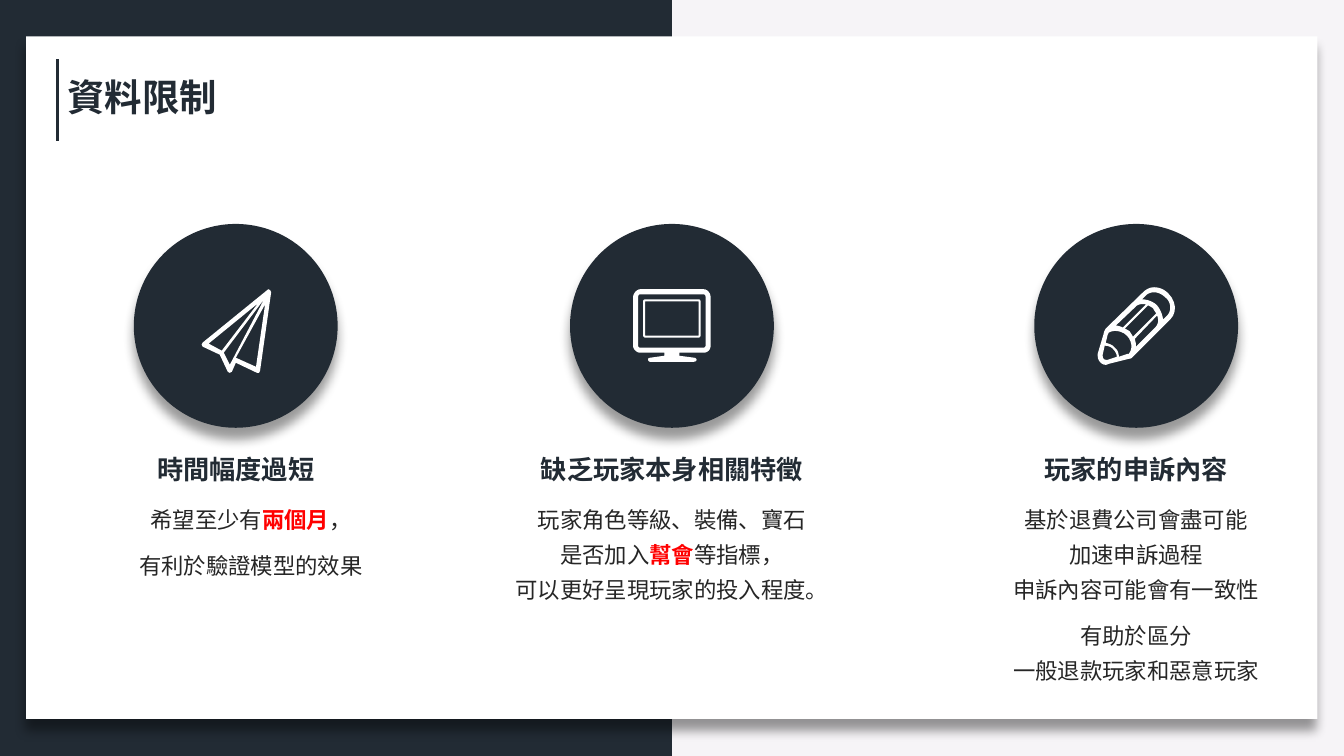
"""Build the data-limitations slide: three icon columns on a white card."""
from copy import deepcopy
from dataclasses import dataclass

from lxml import etree
from pptx import Presentation
from pptx import util as u
from pptx.dml.color import RGBColor
from pptx.enum import shapes, text
from pptx.oxml.ns import qn
from pptx.slide import Slide


@dataclass(frozen=True)
class Theme:
    dark: str = "222B34"
    pale: str = "F6F4F7"
    white: str = "FFFFFF"
    body: str = "262626"
    accent: str = "FF0000"
    title_font: str = "Noto Sans CJK SC"
    heading_font: str = "Arial"
    body_font: str = "Calibri"
    title_size: float = 26.7
    heading_size: float = 18.7
    body_size: float = 16


THEME = Theme()
ICON_UNIT = 0.72
CURVE_STEPS = 6
CIRCLE_TOP, CIRCLE_SIZE = 160, 145.6
HEADING_TOP, HEADING_HEIGHT = 320.4, 30
BODY_TOP, BODY_WIDTH = 352, 242

Contour = list[tuple[int, ...]]


@dataclass(frozen=True)
class Icon:
    """Closed contours: two numbers make a line point, six a Bezier curve."""
    left: float
    top: float
    contours: list[Contour]


@dataclass(frozen=True)
class Span:
    text: str
    strong: bool = False


@dataclass(frozen=True)
class Column:
    center: float
    body_center: float
    heading: str
    heading_width: float
    body_height: float
    paragraphs: list[list[Span]]
    icons: list[Icon]


PLANE = Icon(144, 206.6, [
    [(54, 77), (34, 68), (63, 15)],
    [(22, 63), (62, 10), (28, 75)],
    [(7, 54), (56, 14), (20, 61)],
    [(68, 1), (66, 0), (65, 1), (1, 53), (0, 55), (1, 57), (18, 65), (26, 82), (28, 83),
     (30, 82), (34, 73), (55, 83), (57, 83), (58, 81), (69, 3)],
])
SCREEN = Icon(459.4, 213.8, [
    [(55, 36), (2, 36), (2, 2), (55, 2)],
    [(55, 0), (2, 0), (1, 0, 0, 1, 0, 2), (0, 36), (0, 37, 1, 38, 2, 38), (55, 38),
     (56, 38, 57, 37, 57, 36), (57, 2), (57, 1, 56, 0, 55, 0)],
])
MONITOR = Icon(452.2, 206.6, [
    [(72, 56), (72, 57, 71, 58, 70, 58), (7, 58), (6, 58, 5, 57, 5, 56), (5, 8),
     (5, 6, 6, 5, 7, 5), (70, 5), (71, 5, 72, 6, 72, 8)],
    [(70, 0), (7, 0), (4, 0, 0, 4, 0, 8), (0, 56), (0, 60, 4, 63, 7, 63), (31, 63), (31, 66),
     (17, 68), (15, 68, 15, 69, 15, 70), (15, 71, 16, 72, 17, 72), (60, 72),
     (62, 72, 63, 71, 63, 70), (63, 69, 62, 68, 61, 68), (46, 66), (46, 63), (70, 63),
     (74, 63, 77, 60, 77, 56), (77, 8), (77, 4, 74, 0, 70, 0)],
])
PENCIL = Icon(784.1, 205.2, [
    [(69, 28), (65, 32), (64, 26, 62, 22, 59, 18), (55, 14, 49, 12, 44, 12), (48, 8),
     (50, 6, 53, 5, 56, 5), (60, 5, 64, 7, 67, 10), (70, 12, 72, 16, 72, 20),
     (72, 23, 71, 26, 69, 28)],
    [(21, 69), (21, 66, 20, 62, 17, 60), (15, 57, 11, 56, 8, 55), (10, 47), (11, 45),
     (16, 42, 24, 43, 29, 48), (34, 53, 35, 61, 31, 66), (30, 66)],
    [(10, 72), (8, 72), (6, 72, 5, 70, 5, 68), (5, 67), (7, 58), (10, 58, 13, 59, 15, 61),
     (18, 64, 19, 67, 19, 69)],
    [(25, 40), (23, 39, 20, 38, 18, 38), (37, 20), (39, 17, 44, 16, 48, 17)],
    [(35, 49), (34, 47, 33, 46, 32, 44), (31, 43, 29, 42, 27, 41), (50, 18),
     (52, 19, 54, 20, 55, 21), (56, 23, 57, 24, 58, 26)],
    [(38, 57), (38, 55, 37, 53, 37, 51), (59, 28), (61, 33, 60, 37, 57, 40), (38, 59)],
    [(70, 6), (66, 2, 61, 0, 56, 0), (52, 0, 48, 2, 45, 5), (8, 41), (7, 43, 6, 44, 6, 46),
     (0, 66), (0, 68), (0, 73, 4, 77, 8, 77), (9, 77, 11, 76, 11, 76), (31, 71),
     (33, 71, 34, 70, 35, 69), (72, 32), (79, 25, 78, 14, 70, 6)],
])
COLUMNS = [
    Column(168.4, 179.3, "時間幅度過短", 127.4, 65.5,
           [[Span("希望至少有"), Span("兩個月", True), Span("，")], [Span("有利於驗證模型的效果")]],
           [PLANE]),
    Column(480, 480, "缺乏玩家本身相關特徵", 202.3, 82.8,
           [[Span("玩家角色等級、裝備、寶石\n是否加入"), Span("幫會", True),
             Span("等指標，\n可以更好呈現玩家的投入程度。")]],
           [SCREEN, MONITOR]),
    Column(811.6, 811.5, "玩家的申訴內容", 146.2, 141.1,
           [[Span("基於退費公司會盡可能\n加速申訴過程\n申訴內容可能會有一致性")],
            [Span("有助於區分\n一般退款玩家和惡意玩家")]],
           [PENCIL]),
]


def rgb(color: str) -> RGBColor:
    return RGBColor.from_string(color)


def paint(shape, color: str, shadow: bool = False) -> None:
    shape.fill.solid()
    shape.fill.fore_color.rgb = rgb(color)
    shape.line.fill.background()
    shape.shadow.inherit = False
    if shadow:
        effects = shape.element.spPr.find(qn("a:effectLst"))
        outer = etree.SubElement(effects, qn("a:outerShdw"), blurRad=str(u.Pt(8)),
                                 dist=str(u.Pt(8)), dir="5400000", algn="t", rotWithShape="0")
        black = etree.SubElement(outer, qn("a:srgbClr"), val="000000")
        etree.SubElement(black, qn("a:alpha"), val="40000")


def add_block(slide: Slide, kind, left: float, top: float, width: float, height: float,
              color: str, shadow: bool = False) -> None:
    shape = slide.shapes.add_shape(kind, u.Pt(left), u.Pt(top), u.Pt(width), u.Pt(height))
    paint(shape, color, shadow)


def add_run(paragraph, words: str, font: str, size: float, color: str, bold: bool) -> None:
    for index, line in enumerate(words.split("\n")):
        if index:
            paragraph.add_line_break()
        run = paragraph.add_run()
        run.text = line
        run.font.name, run.font.size, run.font.bold = font, u.Pt(size), bold
        run.font.color.rgb = rgb(color)
        properties = run.font._element
        etree.SubElement(properties, qn("a:ea"), typeface=font)
        if index:
            run._r.getprevious().append(deepcopy(properties))


def flatten(contour: Contour) -> list[tuple[float, float]]:
    points = [contour[0]]
    for segment in contour[1:]:
        if len(segment) == 2:
            points.append(segment)
            continue
        nodes = [points[-1], segment[:2], segment[2:4], segment[4:]]
        for step in range(1, CURVE_STEPS + 1):
            t = step / CURVE_STEPS
            weights = ((1 - t) ** 3, 3 * t * (1 - t) ** 2, 3 * t * t * (1 - t), t ** 3)
            points.append(tuple(sum(w * n[axis] for w, n in zip(weights, nodes))
                                for axis in (0, 1)))
    return points


def add_icon(slide: Slide, icon: Icon) -> None:
    builder = None
    for contour in icon.contours:
        points = [(u.Pt(icon.left + x * ICON_UNIT), u.Pt(icon.top + y * ICON_UNIT))
                  for x, y in flatten(contour)]
        if builder is None:
            builder = slide.shapes.build_freeform(*points[0], scale=1.0)
        else:
            builder.move_to(*points[0])
        builder.add_line_segments(points[1:], close=True)
    paint(builder.convert_to_shape(), THEME.white)


def add_text_frame(slide: Slide, center: float, top: float, width: float, height: float,
                   wrap: bool):
    box = slide.shapes.add_textbox(u.Pt(center - width / 2), u.Pt(top), u.Pt(width), u.Pt(height))
    box.text_frame.word_wrap = wrap
    return box.text_frame


def add_column(slide: Slide, column: Column) -> None:
    add_block(slide, shapes.MSO_SHAPE.OVAL, column.center - CIRCLE_SIZE / 2, CIRCLE_TOP,
              CIRCLE_SIZE, CIRCLE_SIZE, THEME.dark, shadow=True)
    for icon in column.icons:
        add_icon(slide, icon)
    heading = add_text_frame(slide, column.center, HEADING_TOP, column.heading_width,
                             HEADING_HEIGHT, False).paragraphs[0]
    heading.alignment = text.PP_ALIGN.CENTER
    add_run(heading, column.heading, THEME.heading_font, THEME.heading_size, THEME.dark, True)
    frame = add_text_frame(slide, column.body_center, BODY_TOP, BODY_WIDTH,
                           column.body_height, True)
    for index, spans in enumerate(column.paragraphs):
        paragraph = frame.add_paragraph() if index else frame.paragraphs[0]
        paragraph.alignment = text.PP_ALIGN.CENTER
        paragraph.line_spacing = 1.3
        if index:
            paragraph.space_before = u.Pt(8)
        for span in spans:
            add_run(paragraph, span.text, THEME.body_font, THEME.body_size,
                    THEME.accent if span.strong else THEME.body, span.strong)


def add_title(slide: Slide, words: str) -> None:
    rule = slide.shapes.add_connector(shapes.MSO_CONNECTOR.STRAIGHT, u.Pt(41), u.Pt(42.5),
                                      u.Pt(41), u.Pt(100.8))
    rule.line.color.rgb, rule.line.width = rgb(THEME.dark), u.Pt(2.25)
    etree.SubElement(rule.element.spPr, qn("a:effectLst"))
    title = slide.shapes.title
    title.left, title.top, title.width, title.height = map(u.Pt, (41, 49.7, 122.4, 39.6))
    title.element.getparent().append(title.element)
    frame = title.text_frame
    frame.word_wrap, frame.auto_size = False, text.MSO_AUTO_SIZE.NONE
    frame.vertical_anchor = text.MSO_ANCHOR.TOP
    frame.paragraphs[0].alignment = text.PP_ALIGN.LEFT
    add_run(frame.paragraphs[0], words, THEME.title_font, THEME.title_size, THEME.dark, True)


def main() -> None:
    presentation = Presentation()
    presentation.slide_width, presentation.slide_height = u.Pt(960), u.Pt(540)
    slide = presentation.slides.add_slide(presentation.slide_layouts.get_by_name("Title Only"))
    slide.background.fill.solid()
    slide.background.fill.fore_color.rgb = rgb(THEME.pale)
    rectangle = shapes.MSO_SHAPE.RECTANGLE
    add_block(slide, rectangle, 0, 0, 480, 540, THEME.dark)
    add_block(slide, rectangle, 18.7, 26, 922.4, 487.6, THEME.white, shadow=True)
    add_title(slide, "資料限制")
    for column in COLUMNS:
        add_column(slide, column)
    presentation.save("out.pptx")


if __name__ == "__main__":
    main()
